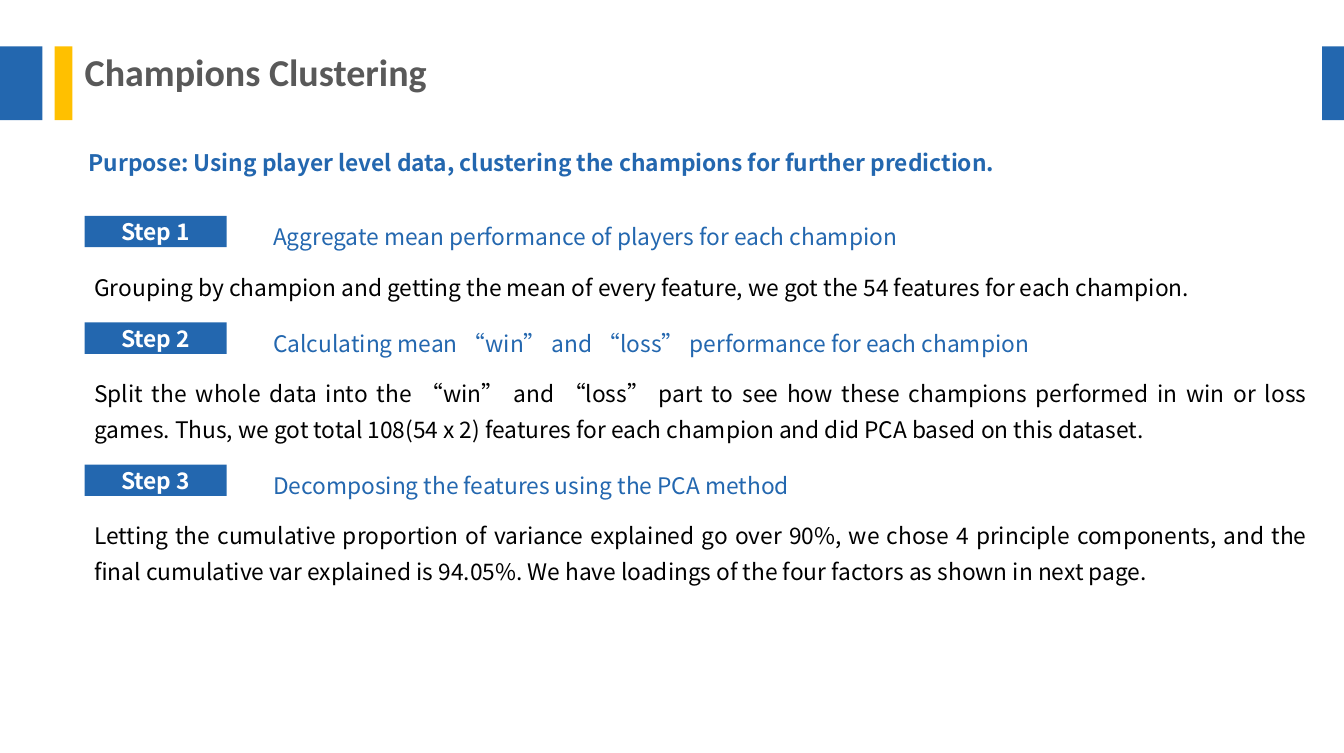
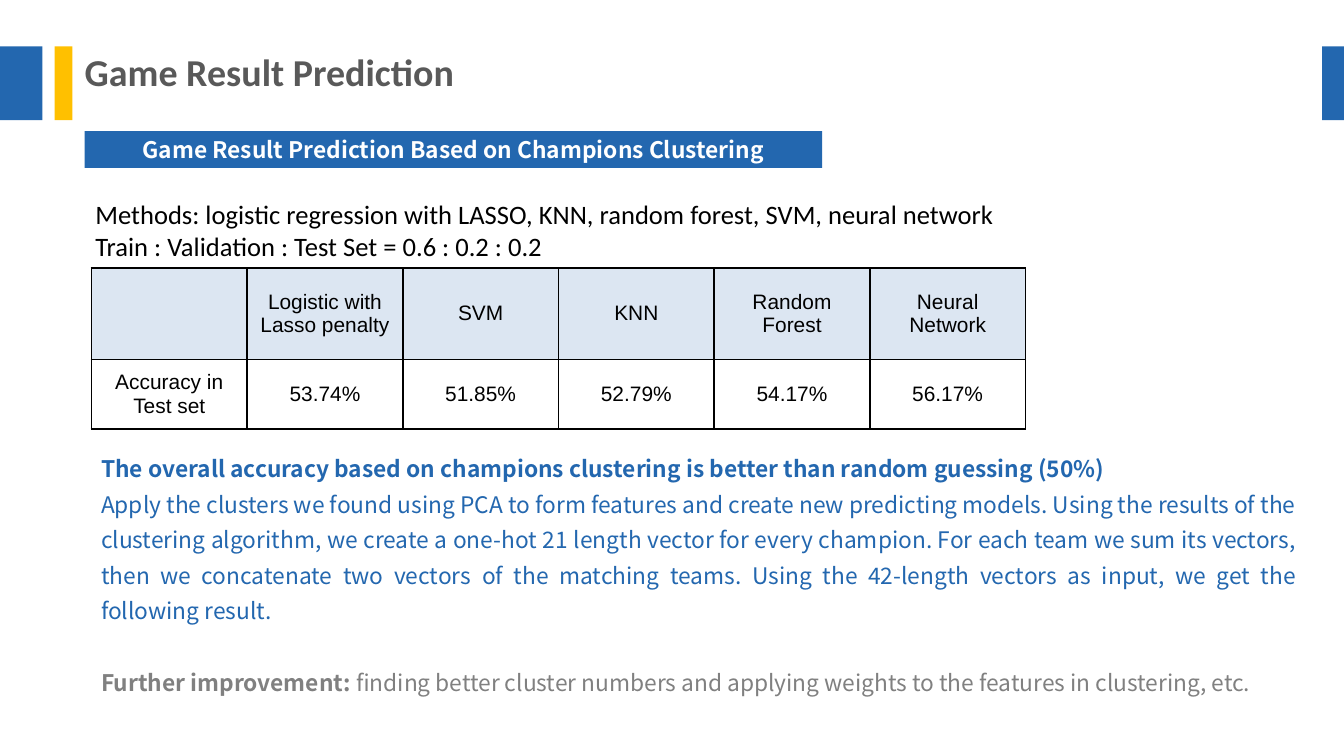
from lxml.etree import SubElement
from pptx import Presentation
from pptx.dml.color import RGBColor
from pptx.enum.shapes import MSO_SHAPE
from pptx.enum.text import MSO_ANCHOR, MSO_AUTO_SIZE, PP_ALIGN
from pptx.oxml.ns import qn
from pptx.util import Inches, Pt

BLUE, YELLOW, PALE_BLUE = "2367AF", "FFC000", "DCE6F2"
WHITE, BLACK, DARK_GREY, GREY = "FFFFFF", "000000", "595959", "808080"
BODY_FONT, TITLE_FONT, TABLE_FONT = "Noto Sans CJK SC", "Calibri", "Arial"
LEFT = 0.62
BANDS = [(-0.01, 0.32, BLUE), (0.4, 0.13, YELLOW), (9.68, 0.16, BLUE)]
TIGHT = (0.07, 0.04)

STEPS = [
    (1.58, "Aggregate mean performance of players for each champion",
     "Grouping by champion and getting the mean of every feature, we got the 54 "
     "features for each champion."),
    (2.36, "Calculating mean “win” and “loss” performance for each champion",
     "Split the whole data into the “win” and “loss” part to see how these champions "
     "performed in win or loss games. Thus, we got total 108(54 x 2) features for each "
     "champion and did PCA based on this dataset."),
    (3.4, "Decomposing the features using the PCA method",
     "Letting the cumulative proportion of variance explained go over 90%, we chose 4 "
     "principle components, and the final cumulative var explained is 94.05%. We have "
     "loadings of the four factors as shown in next page."),
]
ACCURACY = [
    ["", "Logistic with\nLasso penalty", "SVM", "KNN", "Random Forest", "Neural Network"],
    ["Accuracy in\nTest set", "53.74%", "51.85%", "52.79%", "54.17%", "56.17%"],
]


def color(hex_string):
    """Turn a hex string into a colour."""
    return RGBColor.from_string(hex_string)


def format_paragraph(paragraph, ink, font=BODY_FONT, size=12, bold=False,
                     align=PP_ALIGN.LEFT, spacing=1.0):
    """Set the font, alignment and line spacing of a paragraph."""
    paragraph.font.name = font
    paragraph.font.size = Pt(size)
    paragraph.font.bold = bold
    paragraph.font.color.rgb = color(ink)
    paragraph.alignment = align
    paragraph.line_spacing = spacing


def set_margins(frame, horizontal, vertical):
    """Set the inner margins of a text frame or cell."""
    frame.margin_left = frame.margin_right = Inches(horizontal)
    frame.margin_top = frame.margin_bottom = Inches(vertical)


def add_bar(slide, left, top, width, height, fill, label=None):
    """Add a plain rectangle, with a centred bold label if one is given."""
    bar = slide.shapes.add_shape(MSO_SHAPE.RECTANGLE, Inches(left), Inches(top),
                                 Inches(width), Inches(height))
    bar.shadow.inherit = False
    bar.fill.solid()
    bar.fill.fore_color.rgb = color(fill)
    bar.line.fill.background()
    if label:
        frame = bar.text_frame
        set_margins(frame, *TIGHT)
        frame.vertical_anchor = MSO_ANCHOR.MIDDLE
        frame.text = label
        format_paragraph(frame.paragraphs[0], WHITE, bold=True, align=PP_ALIGN.CENTER)


def add_text(slide, left, top, width, height, text, ink, margins=TIGHT, **style):
    """Add a wrapped text box, one paragraph a line, and return its paragraphs."""
    box = slide.shapes.add_textbox(Inches(left), Inches(top), Inches(width), Inches(height))
    frame = box.text_frame
    frame.word_wrap = True
    set_margins(frame, *margins)
    frame.text = text
    for paragraph in frame.paragraphs:
        format_paragraph(paragraph, ink, **style)
    return frame.paragraphs


def add_titled_slide(presentation, title):
    """Add a slide with the shared bands and title style."""
    slide = presentation.slides.add_slide(presentation.slide_layouts[5])
    for left, width, fill in BANDS:
        add_bar(slide, left, 0.34, width, 0.54, fill)
    shape = slide.shapes.title
    shape.left, shape.top = Inches(LEFT), Inches(0.35)
    shape.width, shape.height = Inches(6.35), Inches(0.34)
    frame = shape.text_frame
    frame.auto_size = MSO_AUTO_SIZE.NONE
    frame.vertical_anchor = MSO_ANCHOR.MIDDLE
    set_margins(frame, 0, 0)
    frame.text = title
    format_paragraph(frame.paragraphs[0], DARK_GREY, TITLE_FONT, 20, True)
    return slide


def set_borders(cell):
    """Draw a thin black line on every side of a cell."""
    properties = cell._tc.get_or_add_tcPr()
    for index, side in enumerate(("a:lnL", "a:lnR", "a:lnT", "a:lnB")):
        line = SubElement(properties, qn(side), w=str(Pt(1)))
        properties.insert(index, line)
        SubElement(SubElement(line, qn("a:solidFill")), qn("a:srgbClr"), val=BLACK)


def add_accuracy_table(slide, left, top, column_width, row_heights):
    """Add the bordered table of test accuracies."""
    columns = len(ACCURACY[0])
    table = slide.shapes.add_table(
        len(ACCURACY), columns, Inches(left), Inches(top),
        Inches(column_width * columns), Inches(sum(row_heights))).table
    table.first_row = table.horz_banding = False
    for column in table.columns:
        column.width = Inches(column_width)
    for row_index, (height, texts) in enumerate(zip(row_heights, ACCURACY)):
        table.rows[row_index].height = Inches(height)
        for column_index, text in enumerate(texts):
            cell = table.cell(row_index, column_index)
            cell.text = text
            cell.vertical_anchor = MSO_ANCHOR.MIDDLE
            set_margins(cell, 0.07, 0.07)
            cell.fill.solid()
            cell.fill.fore_color.rgb = color(WHITE if row_index else PALE_BLUE)
            set_borders(cell)
            for paragraph in cell.text_frame.paragraphs:
                format_paragraph(paragraph, BLACK, TABLE_FONT, 11, align=PP_ALIGN.CENTER)


def build_clustering(presentation):
    """Build the slide on the clustering steps."""
    slide = add_titled_slide(presentation, "Champions Clustering")
    add_text(slide, 0.55, 0.94, 9.14, 0.4,
             "Purpose: Using player level data, clustering the champions for further prediction.",
             BLUE, margins=(0.1, 0.05), bold=True, spacing=1.5)
    justified = {"align": PP_ALIGN.JUSTIFY, "spacing": 1.3}
    for number, (top, heading, body) in enumerate(STEPS, 1):
        add_bar(slide, LEFT, top, 1.04, 0.23, BLUE, f"Step {number}")
        add_text(slide, 1.93, top - 0.05, 6.22, 0.34, heading, BLUE, **justified)
        add_text(slide, LEFT, top + 0.32, 9.03, 0.6, body, BLACK, **justified)


def build_prediction(presentation):
    """Build the slide on predicting game results."""
    slide = add_titled_slide(presentation, "Game Result Prediction")
    add_bar(slide, LEFT, 0.96, 5.4, 0.27, BLUE,
            "Game Result Prediction Based on Champions Clustering")
    add_text(slide, 0.6, 1.4, 7, 0.57,
             "Methods: logistic regression with LASSO, KNN, random forest, SVM, neural network\n"
             "Train : Validation : Test Set = 0.6 : 0.2 : 0.2",
             BLACK, margins=(0.1, 0.05), font=TITLE_FONT, size=14)
    add_accuracy_table(slide, 0.67, 1.96, 1.14, (0.67, 0.51))
    finding, method, improvement = add_text(
        slide, 0.67, 3.23, 8.9, 1.91,
        "The overall accuracy based on champions clustering is better than random guessing (50%)\n"
        "Apply the clusters we found using PCA to form features and create new predicting models. "
        "Using the results of the clustering algorithm, we create a one-hot 21 length vector for "
        "every champion. For each team we sum its vectors, then we concatenate two vectors of the "
        "matching teams. Using the 42-length vectors as input, we get the following result.\n"
        "Further improvement: ",
        BLUE, align=PP_ALIGN.JUSTIFY, spacing=1.3)
    finding.font.bold = True
    improvement.font.color.rgb = color(GREY)
    improvement.space_before = Pt(18.8)
    improvement.runs[0].font.bold = True
    improvement.add_run().text = (
        "finding better cluster numbers and applying weights to the features in clustering, etc.")


def main():
    """Build and save the presentation."""
    presentation = Presentation()
    presentation.slide_width, presentation.slide_height = Inches(9.84), Inches(5.51)
    build_clustering(presentation)
    build_prediction(presentation)
    presentation.save("out.pptx")


if __name__ == "__main__":
    main()
